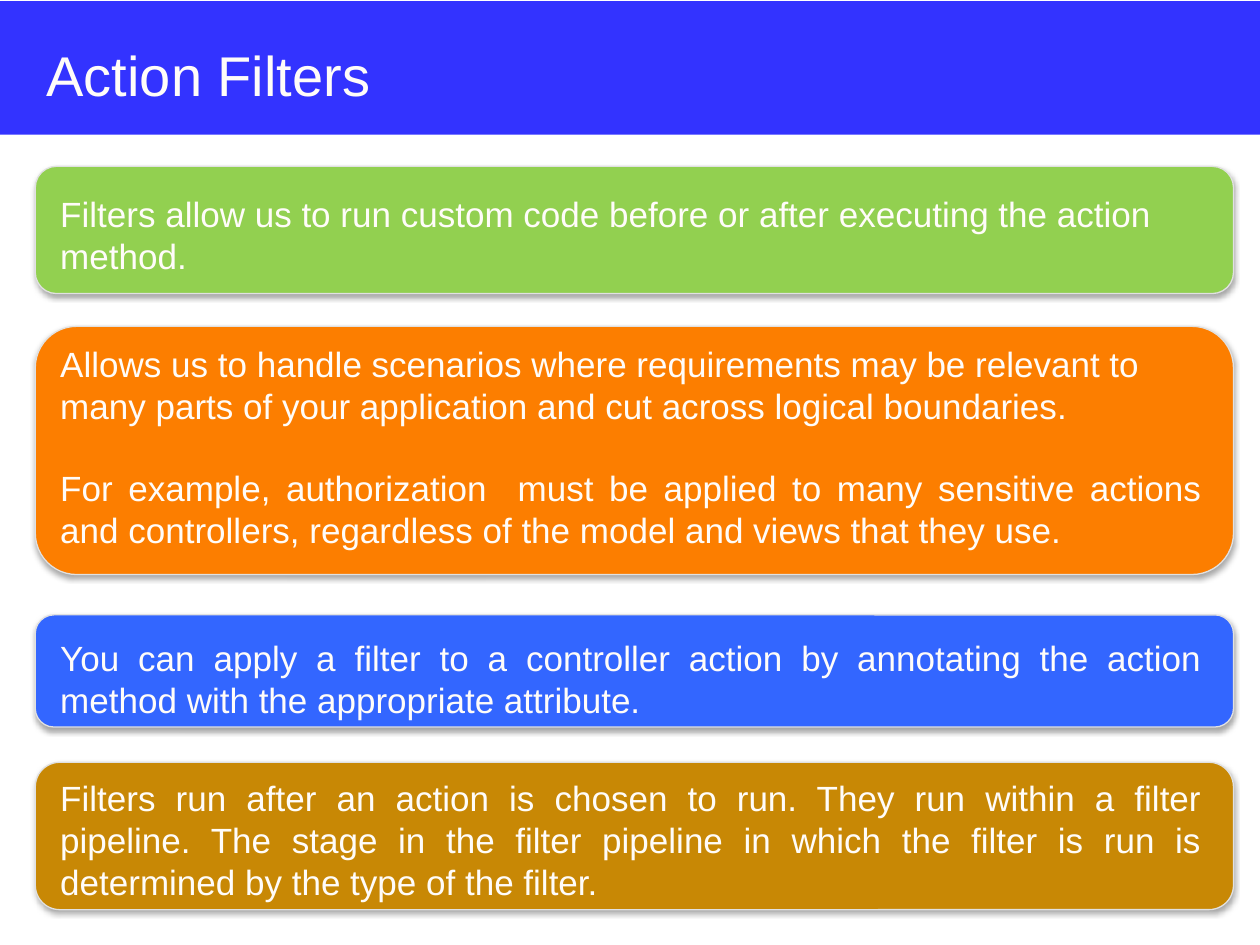
from collections import namedtuple
from dataclasses import dataclass

from lxml import etree
from pptx import Presentation
from pptx import util as u
from pptx.dml.color import RGBColor
from pptx.enum import shapes, text
from pptx.oxml.ns import qn

Box = namedtuple("Box", "left top width height")
Panel = namedtuple("Panel", "top height inset fill align paragraphs")


@dataclass(frozen=True)
class Theme:
    font: str = "Arial"
    ink: str = "FFFCF9"
    band: str = "3333FF"
    edge: str = "E1E1E1"
    shadow: str = "000000"
    title_size: int = 32
    body_size: int = 20


THEME = Theme()
SLIDE_WIDTH, SLIDE_HEIGHT = 10, 7.5
MARGIN, CONTENT_WIDTH = 0.28, 9.51
TEXT_INDENT = 0.1
PARAGRAPH_GAP = 23  # one line of body text, in points

LEFT, JUSTIFY = text.PP_ALIGN.LEFT, text.PP_ALIGN.JUSTIFY
PANELS = [
    Panel(1.32, 1.01, 0.16, "92D050", LEFT, [
        ("Filters allow us to run custom code before or after executing "
         "the action method.", 0)]),
    Panel(2.59, 1.97, 0.08, "FC7E00", JUSTIFY, [
        ("Allows us to handle scenarios where requirements may be relevant to", 0),
        ("many parts of your application and cut across logical boundaries.", 0),
        ("For example, authorization  must be applied to many sensitive actions "
         "and controllers, regardless of the model and views that they use.",
         PARAGRAPH_GAP)]),
    Panel(4.88, 0.89, 0.12, "3366FF", JUSTIFY, [
        ("You can apply a filter to a controller action by annotating the action "
         "method with the appropriate attribute.", 0)]),
    Panel(6.05, 1.17, 0.06, "C88805", JUSTIFY, [
        ("Filters run after an action is chosen to run. They run within a filter "
         "pipeline. The stage in the filter pipeline in which the filter is run is "
         "determined by the type of the filter.", 0)]),
]


def rgb(color):
    return RGBColor.from_string(color)


def inches(box):
    return [u.Inches(length) for length in box]


def style(para, size, align):
    para.alignment = align
    para.font.name = THEME.font
    para.font.size = u.Pt(size)
    para.font.color.rgb = rgb(THEME.ink)


def add_filled(page, kind, box, color):
    shape = page.shapes.add_shape(kind, *inches(box))
    shape.shadow.inherit = False
    shape.fill.solid()
    shape.fill.fore_color.rgb = rgb(color)
    return shape


def add_soft_shadow(shape):
    effects = shape.element.spPr.find(qn("a:effectLst"))
    shadow = etree.SubElement(
        effects, qn("a:outerShdw"), blurRad=str(u.Pt(3.1)), dist=str(u.Pt(1.8)),
        dir=str(90 * 60000), rotWithShape="0")
    color = etree.SubElement(shadow, qn("a:srgbClr"), val=THEME.shadow)
    etree.SubElement(color, qn("a:alpha"), val="35000")


def add_header(page, box, title_text):
    band = add_filled(page, shapes.MSO_SHAPE.RECTANGLE, box, THEME.band)
    band.line.fill.background()
    title = page.shapes.title
    title.element.addprevious(band.element)
    title.left, title.top, title.width, title.height = inches(
        Box(MARGIN - 0.01, box.top + 0.27, CONTENT_WIDTH, 0.62))
    frame = title.text_frame
    frame.text = title_text
    frame.vertical_anchor = text.MSO_ANCHOR.MIDDLE
    style(frame.paragraphs[0], THEME.title_size, LEFT)


def add_panel(page, box, panel):
    card = add_filled(page, shapes.MSO_SHAPE.ROUNDED_RECTANGLE, box, panel.fill)
    card.line.color.rgb = rgb(THEME.edge)
    card.line.width = u.Pt(0.75)
    add_soft_shadow(card)

    label = page.shapes.add_textbox(*inches(Box(
        box.left + TEXT_INDENT, box.top + panel.inset,
        box.width - 2.5 * TEXT_INDENT, box.height - panel.inset)))
    frame = label.text_frame
    frame.word_wrap = True
    for index, (words, gap) in enumerate(panel.paragraphs):
        para = frame.add_paragraph() if index else frame.paragraphs[0]
        para.text = words
        para.space_before = u.Pt(gap)
        style(para, THEME.body_size, panel.align)


def main():
    deck = Presentation()
    deck.slide_width = u.Inches(SLIDE_WIDTH)
    deck.slide_height = u.Inches(SLIDE_HEIGHT)
    page = deck.slides.add_slide(deck.slide_layouts.get_by_name("Title Only"))
    add_header(page, Box(0, 0.01, SLIDE_WIDTH, 1.06), "Action Filters")
    for panel in PANELS:
        add_panel(page, Box(MARGIN, panel.top, CONTENT_WIDTH, panel.height), panel)
    deck.save("out.pptx")


if __name__ == "__main__":
    main()
